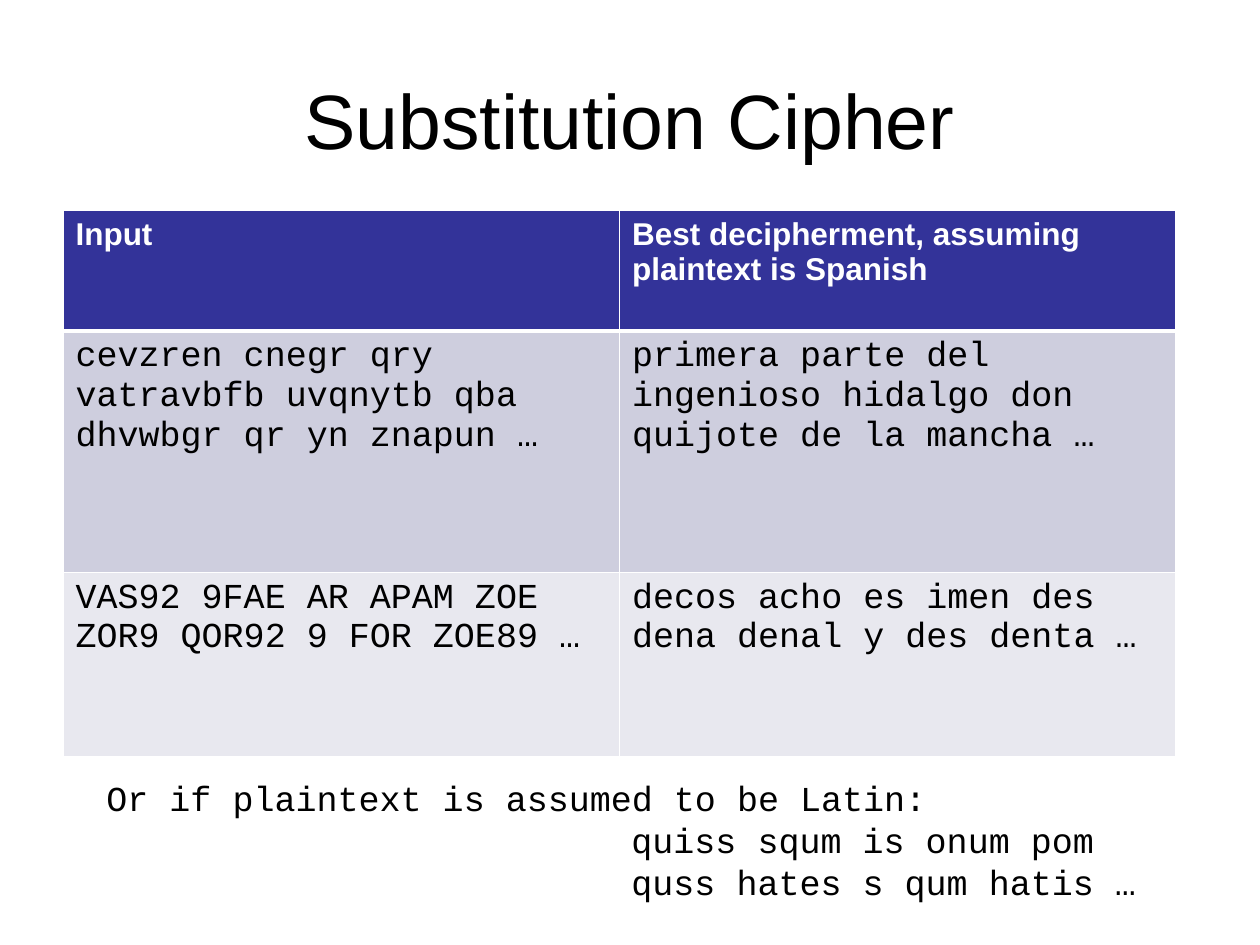
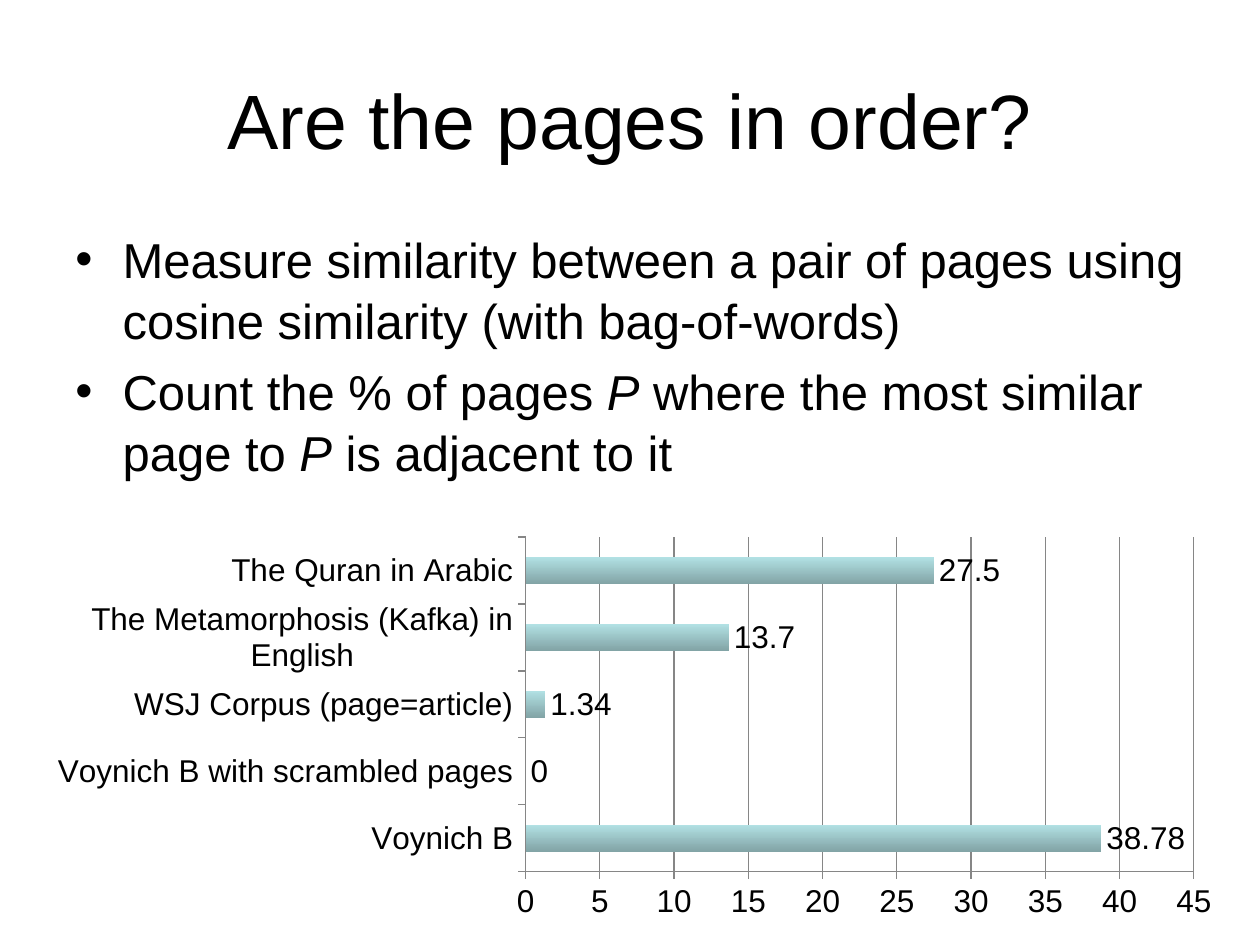
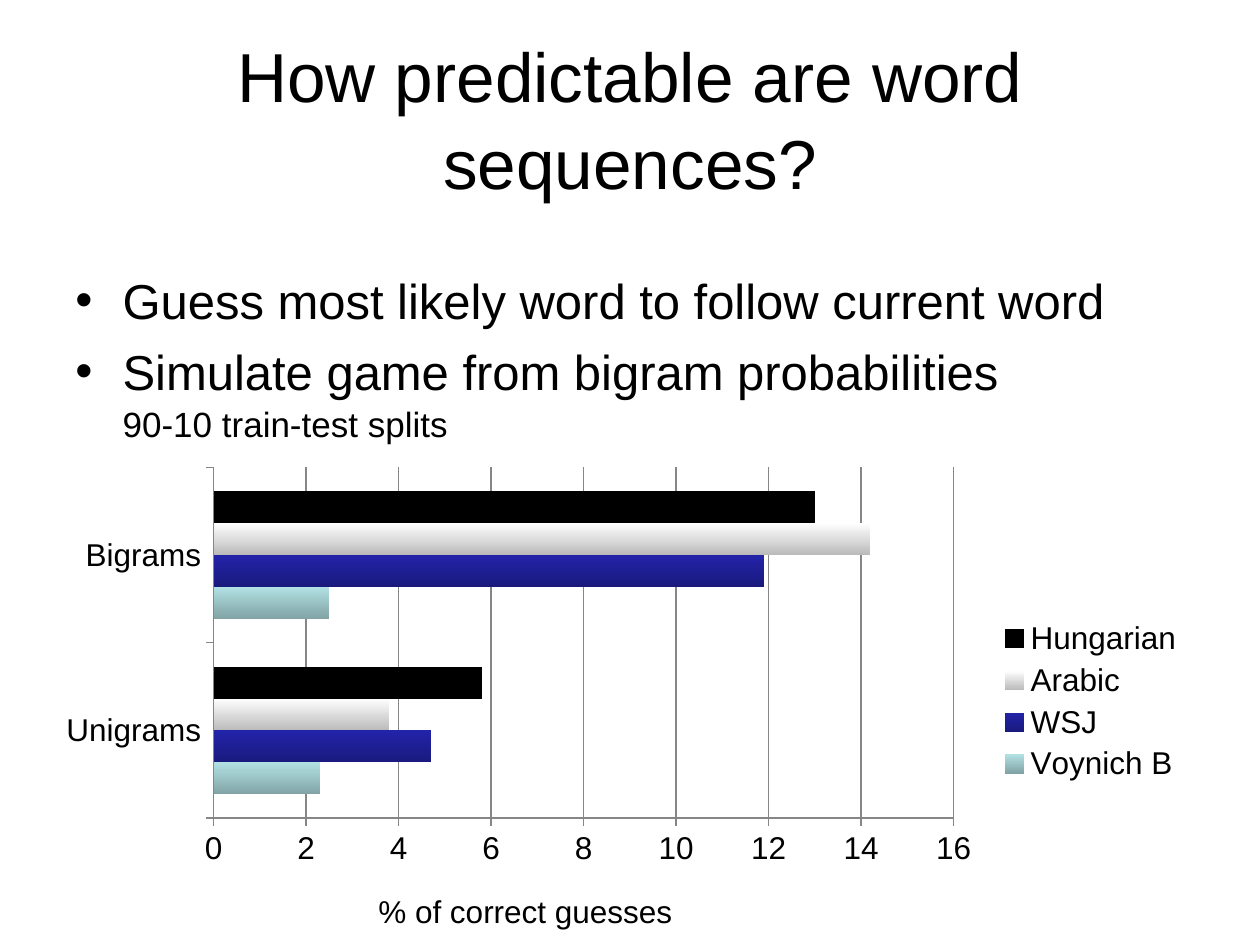
from dataclasses import dataclass

from lxml.etree import SubElement as Sub
from pptx import Presentation
from pptx.chart.data import CategoryChartData as Data
from pptx.dml.color import RGBColor as RGB
from pptx.enum.chart import XL_CHART_TYPE as Kind, XL_LABEL_POSITION as Spot
from pptx.enum.chart import XL_LEGEND_POSITION as Side, XL_TICK_MARK as Tick
from pptx.enum.text import MSO_ANCHOR as Anchor, PP_ALIGN as Align
from pptx.oxml import parse_xml
from pptx.oxml.ns import nsdecls, qn
from pptx.util import Pt


@dataclass(frozen=True)
class Theme:
    sans: str = "Arial"
    mono: str = "Courier New"
    ink: str = "000000"
    paper: str = "FFFFFF"
    head: str = "333399"
    bands: tuple = ("CECEDE", "E8E8EF")
    grid: str = "868686"
    # Bar shades, top to bottom
    teal: tuple = ("B2E1E4", "82A4A6")
    navy: tuple = ("2323AA", "1A1A7E")
    pale: tuple = ("FFFFFF", "BBBBBB")
    black: tuple = ("000000", "000000")
    title: float = 44
    body: float = 28
    code: float = 20
    label: float = 18
    lead: float = 1.045


T = Theme()


# Text
def style(font, size, name=T.sans, color=T.ink, bold=False, italic=False):
    font.size, font.name = Pt(size), name
    font.bold, font.italic = bold, italic
    font.color.rgb = RGB.from_string(color)


def put(frame, paras, size, align=Align.LEFT, lead=None, gap=0,
        indents=None, bullet=False, **fmt):
    """Each paragraph is a string or a list of (text, format) runs."""
    frame.word_wrap = True
    for i, runs in enumerate(paras):
        para = frame.paragraphs[0] if i == 0 else frame.add_paragraph()
        props = para._p.get_or_add_pPr()
        if bullet:
            props.set("marL", str(Pt(27)))
            props.set("indent", str(-Pt(27)))
            Sub(props, qn("a:buFont"), typeface=T.sans)
            Sub(props, qn("a:buChar"), char="•")
        elif indents:
            props.set("marL", str(Pt(indents[i])))
        para.alignment = align
        if lead:
            para.line_spacing = lead
        if i and gap:
            para.space_before = Pt(gap)
        for text, extra in [(runs, {})] if isinstance(runs, str) else runs:
            if text == "\n":
                para.add_line_break()
                continue
            run = para.add_run()
            run.text = text
            style(run.font, **{"size": size, **fmt, **extra})


def box(slide, at, paras, size, anchor=Anchor.TOP, **fmt):
    frame = slide.shapes.add_textbox(*map(Pt, at)).text_frame
    frame.vertical_anchor = anchor
    put(frame, paras, size, **fmt)
    return frame


def title(slide, text, size=T.title):
    box(slide, (36, 21.6, 648, 90), [text], size, Anchor.MIDDLE,
        align=Align.CENTER, lead=T.lead)


def points(slide, top, high, paras):
    box(slide, (36, top, 648, high), paras, T.body, bullet=True,
        lead=T.lead, gap=T.body * 0.2)


# Table
def edge(cell, low):
    props = cell._tc.get_or_add_tcPr()
    for i, side in enumerate(("lnL", "lnR", "lnT", "lnB")):
        wide = Pt(low if side == "lnB" else 1)
        props.insert(i, parse_xml(
            f'<a:{side} {nsdecls("a")} w="{wide}"><a:solidFill>'
            f'<a:srgbClr val="{T.paper}"/></a:solidFill></a:{side}>'))


def table(slide, at, rows, highs):
    grid = slide.shapes.add_table(len(rows), len(rows[0]), *map(Pt, at)).table
    for r, (row, high) in enumerate(zip(rows, highs)):
        grid.rows[r].height = Pt(high)
        for c, text in enumerate(row):
            cell = grid.cell(r, c)
            cell.fill.solid()
            tint = T.bands[(r - 1) % 2] if r else T.head
            cell.fill.fore_color.rgb = RGB.from_string(tint)
            if r:
                put(cell.text_frame, [text], T.code, name=T.mono)
            else:
                put(cell.text_frame, [text], T.label, color=T.paper, bold=True)
            edge(cell, 1 if r else 3)


# Charts
def layout(x, y, w=None, h=None):
    inner = '<c:layoutTarget val="inner"/>' if w else ""
    modes = '<c:xMode val="edge"/><c:yMode val="edge"/>'
    sizes = "".join(f'<c:{k} val="{v}"/>'
                    for k, v in zip("xywh", (x, y, w, h)) if v)
    return parse_xml(f'<c:layout {nsdecls("c")}><c:manualLayout>{inner}{modes}'
                     f'{sizes}</c:manualLayout></c:layout>')


def place(node, new, index):
    for old in node.findall(qn("c:layout")):
        node.remove(old)
    node.insert(index, new)


def bars(slide, at, cats, series, area, top, step):
    """Series are (name, values, shades); area is the plot's share."""
    data = Data()
    data.categories = cats
    for name, vals, _ in series:
        data.add_series(name, vals)
    chart = slide.shapes.add_chart(
        Kind.BAR_CLUSTERED, *map(Pt, at), data).chart
    style(chart.font, T.label)
    chart.has_title = chart.has_legend = False
    plot = chart.plots[0]
    plot.gap_width, plot.overlap = 150, 0
    plot.vary_by_categories = False
    for item, (_, _, shades) in zip(plot.series, series):
        item.invert_if_negative = False
        fill = item.format.fill
        fill.gradient()
        fill.gradient_angle = 270
        for stop, shade in zip(fill.gradient_stops, shades):
            stop.color.rgb = RGB.from_string(shade)
    vals = chart.value_axis
    vals.minimum_scale, vals.maximum_scale, vals.major_unit = 0, top, step
    vals.has_major_gridlines = True
    for axis in (chart.category_axis, vals):
        axis.major_tick_mark, axis.minor_tick_mark = Tick.OUTSIDE, Tick.NONE
    for line in (vals.major_gridlines.format.line, vals.format.line,
                 chart.category_axis.format.line):
        line.color.rgb = RGB.from_string(T.grid)
        line.width = Pt(0.75)
    place(chart._chartSpace.chart.plotArea, layout(*area), 0)
    return chart


# Slides
def cipher(slide):
    title(slide, "Substitution Cipher")
    table(slide, (36, 120.24, 636, 312), [
        ("Input", "Best decipherment, assuming plaintext is Spanish"),
        ("cevzren cnegr qry vatravbfb uvqnytb qba dhvwbgr qr yn znapun …",
         "primera parte del ingenioso hidalgo don quijote de la mancha …"),
        ("VAS92 9FAE AR APAM ZOE ZOR9 QOR92 9 FOR ZOE89 …",
         "decos acho es imen des dena denal y des denta …"),
    ], (69, 138, 105))
    note = box(slide, (41.76, 438.5, 648, 80), [
        "Or if plaintext is assumed to be Latin:",
        "quiss squm is onum pom",
        "quss hates s qum hatis …",
    ], T.code, name=T.mono, indents=(12, 312, 312), lead=Pt(24))
    note.margin_top = Pt(5.5)


def order(slide):
    title(slide, "Are the pages in order?")
    page = ("P", {"italic": True})
    points(slide, 126, 356.4, [
        "Measure similarity between a pair of pages using cosine similarity "
        "(with bag-of-words)",
        [("Count the % of pages ", {}), page,
         (" where the most similar page to ", {}), page,
         (" is adjacent to it", {})],
    ])
    cats = ("Voynich B", "Voynich B with scrambled pages",
            "WSJ Corpus (page=article)",
            "The Metamorphosis (Kafka) in English", "The Quran in Arabic")
    chart = bars(slide, (18.72, 302.4, 686.9, 227.5), cats,
                 [("Series 1", (38.78, 0, 1.34, 13.7, 27.5), T.teal)],
                 (0.41, 0.02, 0.556, 0.84), 45, 5)
    plot = chart.plots[0]
    plot.has_data_labels = True
    plot.data_labels.show_value = True
    plot.data_labels.position = Spot.OUTSIDE_END
    style(plot.data_labels.font, T.label)


def guess(slide):
    title(slide, "How predictable are word sequences?", 39.6)
    points(slide, 149.76, 307.4, [
        "Guess most likely word to follow current word",
        [("Simulate game from bigram probabilities", {}), ("\n", {}),
         ("90-10 train-test splits", {"size": T.code})],
    ])
    chart = bars(slide, (25.2, 261.4, 658.8, 278.6), ("Unigrams", "Bigrams"), [
        ("Voynich B", (2.3, 2.5), T.teal),
        ("WSJ", (4.7, 11.9), T.navy),
        ("Arabic", (3.8, 14.2), T.pale),
        ("Hungarian", (5.8, 13), T.black),
    ], (0.147, 0.02, 0.642, 0.72), 16, 2)
    chart.has_legend = True
    chart.legend.position = Side.RIGHT
    chart.legend.include_in_layout = False
    style(chart.legend.font, T.label)
    name = chart.value_axis.axis_title
    put(name.text_frame, ["% of correct guesses"], T.label)
    place(name._element, layout(0.285, 0.877), 1)


def main():
    deck = Presentation()
    deck.slide_width, deck.slide_height = Pt(720), Pt(540)
    for draw in (cipher, order, guess):
        draw(deck.slides.add_slide(deck.slide_layouts[6]))
    deck.save("out.pptx")


if __name__ == "__main__":
    main()
